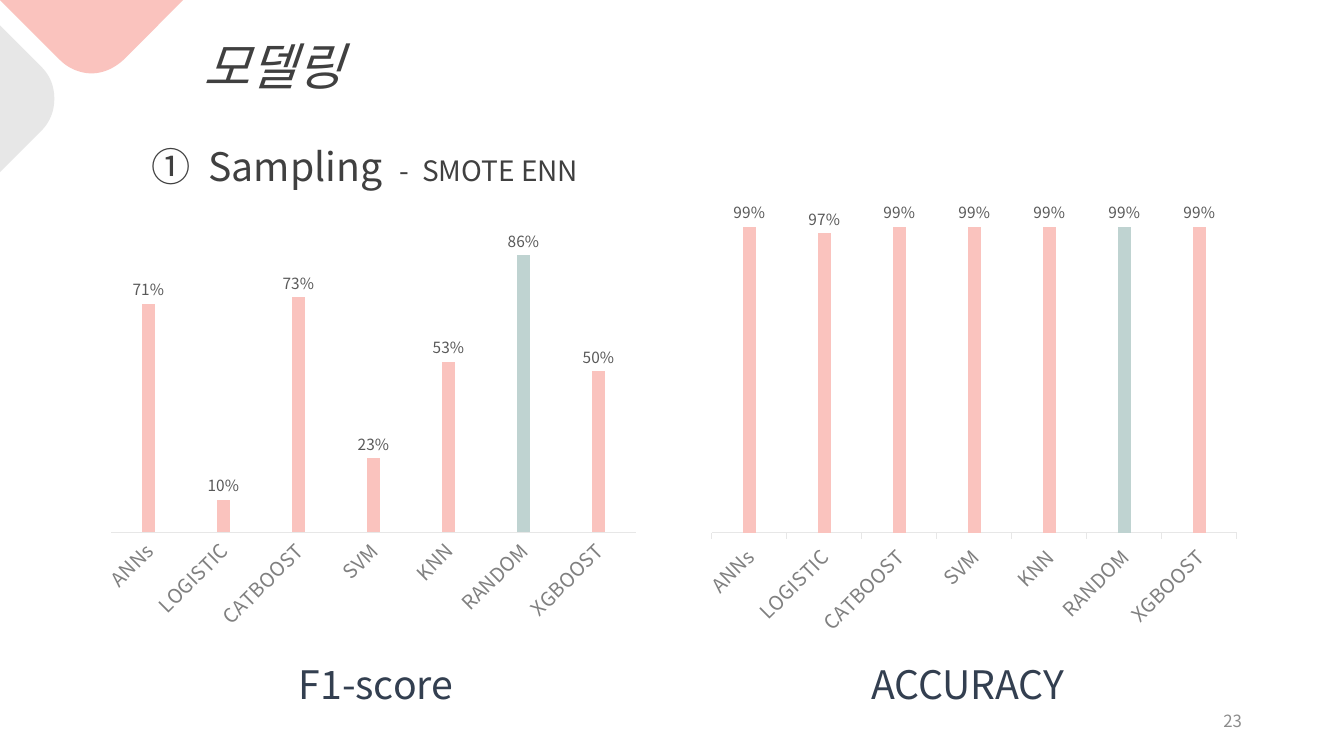
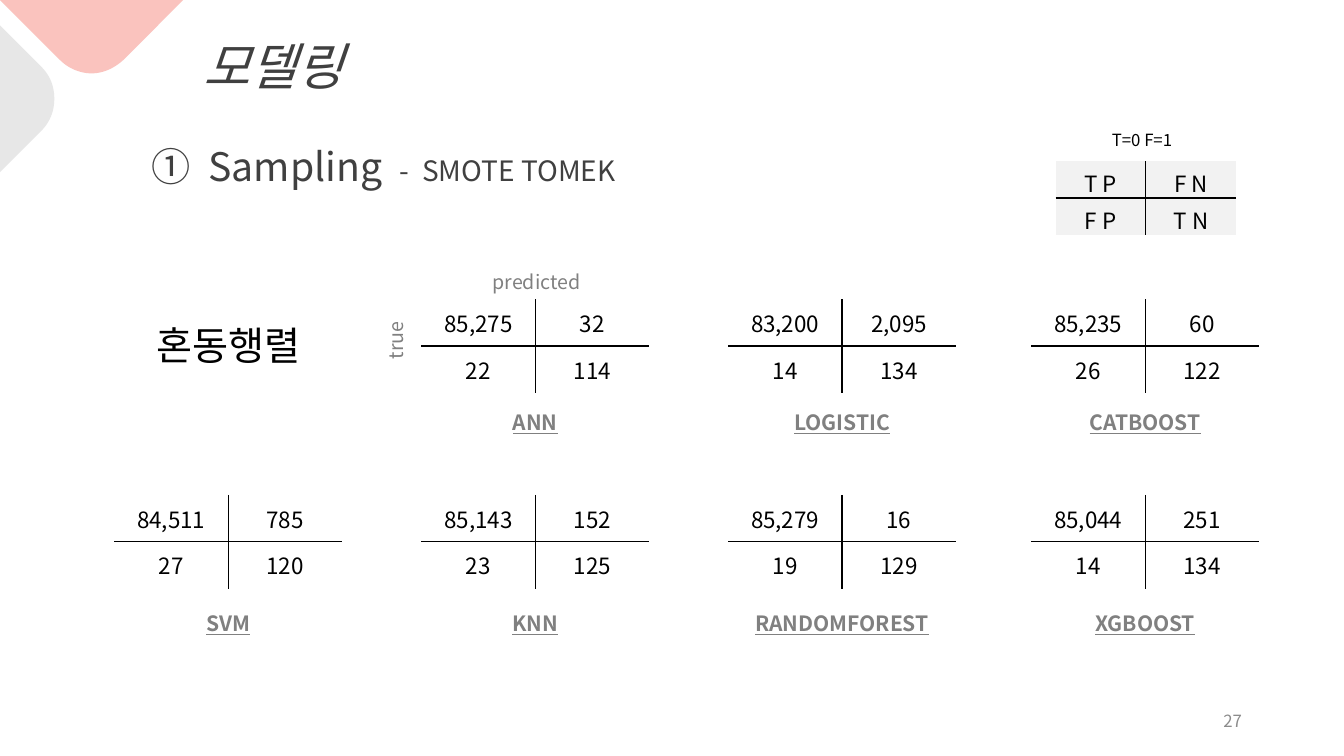
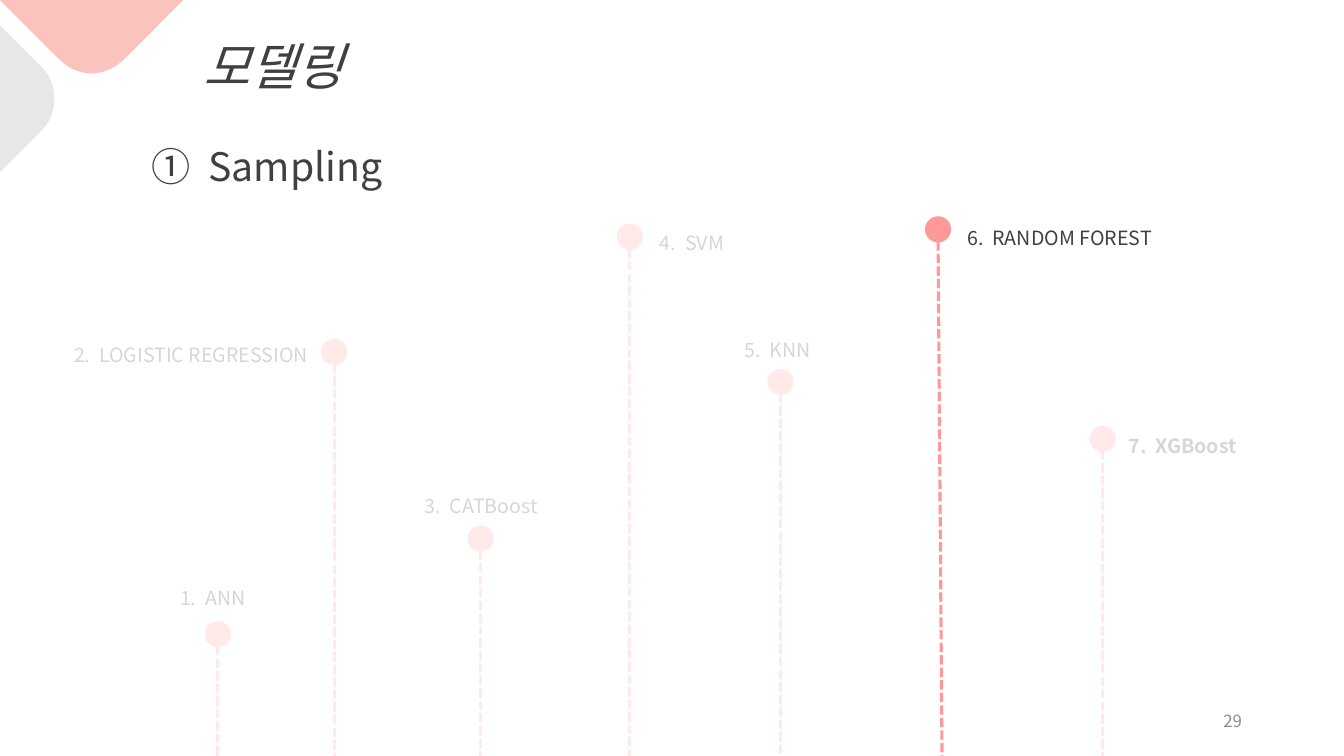
from dataclasses import dataclass

from lxml import etree
from pptx import Presentation
from pptx import util as u
from pptx.chart.data import CategoryChartData
from pptx.dml.color import RGBColor
from pptx.enum import chart as ch, dml, shapes, text
from pptx.oxml.ns import qn

Cm, Pt = u.Cm, u.Pt
ALIGN, ANCHOR = text.PP_ALIGN, text.MSO_ANCHOR
WIDTH, HEIGHT = 33.87, 19.05


@dataclass(frozen=True)
class Theme:
    font: str = "Noto Sans CJK KR"
    pink: str = "FAC3BE"
    coral: str = "FF9999"
    sage: str = "BFD3D1"
    mist: str = "E7E7E7"
    pale: str = "F2F2F2"
    white: str = "FFFFFF"
    black: str = "000000"
    dark: str = "404040"
    navy: str = "333F50"
    label: str = "595959"
    grey: str = "808080"
    footer: str = "8C8C8C"
    title_size: float = 36
    head_size: float = 28
    sub_size: float = 20
    cell_size: float = 16
    caption_size: float = 15
    body_size: float = 14
    small_size: float = 12
    value_size: float = 11


T = Theme()

# Corner outlines in cm: pairs are line ends, sextuples are Bézier curves.
PINK_CORNER = [(0, 0), (1.52, 1.52), (1.73, 1.73, 2.03, 1.85, 2.31, 1.85),
               (2.59, 1.85, 2.87, 1.73, 3.1, 1.52), (4.62, 0)]
GREY_CORNER = [(0, 0.64), (1.04, 1.68), (1.27, 1.91, 1.37, 2.18, 1.37, 2.49),
               (1.37, 2.79, 1.27, 3.07, 1.04, 3.3), (0, 4.34)]


def rgb(color):
    return RGBColor.from_string(color)


def flatten(path, steps=12):
    """Turn lines and cubic curves into a list of points."""
    pts = [path[0]]
    for seg in path[1:]:
        if len(seg) == 2:
            pts.append(seg)
            continue
        ctrl = [pts[-1], seg[:2], seg[2:4], seg[4:]]
        for i in range(1, steps + 1):
            t = i / steps
            weights = ((1 - t) ** 3, 3 * t * (1 - t) ** 2, 3 * t * t * (1 - t), t ** 3)
            pts.append(tuple(sum(w * c[k] for w, c in zip(weights, ctrl)) for k in (0, 1)))
    return pts


def style_font(font, size, color, bold=False, italic=False, underline=False):
    font.name, font.size = T.font, Pt(size)
    font.color.rgb = rgb(color)
    font.bold, font.italic, font.underline = bold, italic, underline


def write(tf, words, size=T.body_size, color=T.dark, align=ALIGN.LEFT, spacing=None,
          wide=False, **look):
    """Append a formatted run to the first paragraph; wide doubles the width of a space."""
    p = tf.paragraphs[0]
    p.alignment = align
    if spacing:
        p.line_spacing = spacing
    r = p.add_run()
    r.text = words
    style_font(r.font, size, color, **look)
    r_pr = r._r.get_or_add_rPr()
    r_pr.find(qn("a:latin")).addnext(etree.Element(qn("a:ea"), typeface=T.font))
    if wide:
        r_pr.set("spc", str(round(size * 22.4)))


def write_gapped(tf, parts, **fmt):
    """Write the parts with a wide space between neighbours."""
    for i, part in enumerate(parts):
        if i:
            write(tf, " ", wide=True, **fmt)
        write(tf, part, **fmt)


def set_borders(cell, sides):
    """Draw thin black borders on the named sides (L, R, T, B) and clear the rest."""
    tc_pr = cell._tc.get_or_add_tcPr()
    for i, side in enumerate("LRTB"):
        ln = etree.Element(qn("a:ln" + side), w=str(Pt(1)))
        if side in sides:
            fill = etree.SubElement(ln, qn("a:solidFill"))
            etree.SubElement(fill, qn("a:srgbClr"), val=T.black)
        else:
            etree.SubElement(ln, qn("a:noFill"))
        tc_pr.insert(i, ln)


def set_plot_area(chart, frame):
    """Fix the inner plot area in percent of the chart: x, y, w, h."""
    plot_area = chart.element.xpath("c:chart/c:plotArea")[0]
    for old in plot_area.findall(qn("c:layout")):
        plot_area.remove(old)
    layout = etree.Element(qn("c:layout"))
    manual = etree.SubElement(layout, qn("c:manualLayout"))
    settings = [("layoutTarget", "inner"), ("xMode", "edge"), ("yMode", "edge")]
    settings += [(tag, val / 100) for tag, val in zip("xywh", frame)]
    for tag, val in settings:
        etree.SubElement(manual, qn("c:" + tag), val=str(val))
    plot_area.insert(0, layout)


class Deck:
    def __init__(self):
        self.prs = Presentation()
        self.prs.slide_width, self.prs.slide_height = Cm(WIDTH), Cm(HEIGHT)
        self.slide = None

    def start(self, number, method=None):
        """Begin a slide with its corners, title and heading."""
        self.slide = self.prs.slides.add_slide(self.prs.slide_layouts[6])
        self.number = number
        self.outline(PINK_CORNER, T.pink)
        self.outline(GREY_CORNER, T.mist)
        self.text("모델링", 4.88, 0, 19.71, 2.34, size=T.title_size, italic=True, spacing=1.5)
        head = self.box(3.58, 2.87, 16.31, 1.88)
        write_gapped(head, ["①", "Sampling"], size=T.head_size, spacing=1.5)
        if method:
            write(head, " ", size=T.head_size, spacing=1.5, wide=True)
            write_gapped(head, ["-", method], size=T.sub_size, spacing=1.5)

    def finish(self):
        """Add the page number above everything else."""
        self.text(str(self.number), 23.93, 17.65, 7.62, 1.02, anchor=ANCHOR.MIDDLE,
                  size=T.small_size, color=T.footer, align=ALIGN.RIGHT)

    def outline(self, path, color):
        pts = [(Cm(x), Cm(y)) for x, y in flatten(path)]
        fb = self.slide.shapes.build_freeform(*pts[0])
        fb.add_line_segments(pts[1:], close=True)
        self.paint(fb.convert_to_shape(), color)

    def paint(self, sp, color, line=None):
        sp.shadow.inherit = False
        if color:
            sp.fill.solid()
            sp.fill.fore_color.rgb = rgb(color)
        else:
            sp.fill.background()
        if line:
            sp.line.color.rgb, sp.line.width = rgb(color), Pt(line)
        else:
            sp.line.fill.background()

    def box(self, x, y, w, h, anchor=ANCHOR.TOP, rotation=0):
        sp = self.slide.shapes.add_textbox(Cm(x), Cm(y), Cm(w), Cm(h))
        sp.rotation = rotation
        tf = sp.text_frame
        tf.word_wrap, tf.vertical_anchor = True, anchor
        return tf

    def text(self, words, x, y, w, h, anchor=ANCHOR.TOP, rotation=0, **fmt):
        write(self.box(x, y, w, h, anchor, rotation), words, **fmt)

    def shape(self, kind, x, y, w, h, color=None, line=None):
        sp = self.slide.shapes.add_shape(kind, Cm(x), Cm(y), Cm(w), Cm(h))
        self.paint(sp, color, line)
        return sp

    def chart_name(self, words, x):
        sp = self.shape(shapes.MSO_SHAPE.ROUNDED_RECTANGLE, x, 16.28, 9.19, 1.91)
        sp.adjustments[0] = 0
        sp.text_frame.vertical_anchor = ANCHOR.MIDDLE
        write(sp.text_frame, words, size=T.head_size, color=T.navy, align=ALIGN.CENTER)

    def veil(self, y, opacity):
        """Fade everything drawn so far below y."""
        sp = self.shape(shapes.MSO_SHAPE.RECTANGLE, 0, y, WIDTH, HEIGHT - y, T.white)
        clr = sp.element.spPr.find(qn("a:solidFill"))[0]
        etree.SubElement(clr, qn("a:alpha"), val=str(opacity * 1000))

    def pin(self, number, name, x, y, label_x, label_y, label_w=6.58, align=ALIGN.LEFT,
            lean=0, bold=False):
        """Draw a labelled dot on a dashed stem that reaches the slide's foot."""
        ln = self.slide.shapes.add_connector(
            shapes.MSO_CONNECTOR.STRAIGHT, Cm(x), Cm(y + 0.3), Cm(x + lean), Cm(HEIGHT))
        ln.line.color.rgb, ln.line.width = rgb(T.coral), Pt(2.25)
        ln.line.dash_style = dml.MSO_LINE.SQUARE_DOT
        etree.SubElement(ln.element.spPr, qn("a:effectLst"))
        size = 0.33
        self.shape(shapes.MSO_SHAPE.OVAL, x - size / 2, y - size / 2, size, size, T.coral, 9.5)
        write_gapped(self.box(label_x, label_y, label_w, 1.07), [f"{number}.", name],
                     align=align, spacing=1.5, bold=bold)

    def matrix(self, rows, x, y, w, h, fill=None, pad=0.13):
        """Draw a two-by-two table with only its inner cross ruled."""
        tb = self.slide.shapes.add_table(2, 2, Cm(x), Cm(y), Cm(w), Cm(h)).table
        tb.first_row = tb.horz_banding = False
        for i, row in enumerate(rows):
            tb.rows[i].height = Cm(h / 2)
            tb.columns[i].width = Cm(w / 2)
            for j, value in enumerate(row):
                cell = tb.cell(i, j)
                cell.vertical_anchor = ANCHOR.MIDDLE
                cell.margin_top, cell.margin_bottom = Cm(0.13), Cm(pad)
                if fill:
                    cell.fill.solid()
                    cell.fill.fore_color.rgb = rgb(fill)
                else:
                    cell.fill.background()
                set_borders(cell, "RL"[j] + "BT"[i])
                write(cell.text_frame, value, size=T.cell_size, color=T.black,
                      align=ALIGN.CENTER)

    def columns(self, cats, vals, x, y, w, h, tick, frame=None):
        data = CategoryChartData(number_format="0%")
        data.categories = cats
        data.add_series("Series 1", vals)
        chart = self.slide.shapes.add_chart(
            ch.XL_CHART_TYPE.COLUMN_CLUSTERED, Cm(x), Cm(y), Cm(w), Cm(h), data).chart
        chart.has_legend = chart.has_title = False
        style_font(chart.font, T.value_size, T.label)

        val_ax, cat_ax = chart.value_axis, chart.category_axis
        val_ax.minimum_scale, val_ax.maximum_scale = 0, 1
        val_ax.has_major_gridlines = val_ax.visible = False
        cat_ax.major_tick_mark = tick
        cat_ax.format.line.color.rgb, cat_ax.format.line.width = rgb(T.mist), Pt(0.75)
        style_font(cat_ax.tick_labels.font, T.body_size, T.grey)
        body = chart.element.xpath(".//c:catAx/c:txPr/a:bodyPr")[0]
        body.set("rot", "-2700000")
        body.set("vert", "horz")

        plot = chart.plots[0]
        plot.gap_width, plot.vary_by_categories = 500, False
        plot.has_data_labels = True
        labels = plot.data_labels
        labels.show_value = True
        labels.number_format, labels.number_format_is_linked = "0%", False
        labels.position = ch.XL_LABEL_POSITION.OUTSIDE_END
        style_font(labels.font, T.value_size, T.label)
        series = plot.series[0]
        for fmt, color in ((series.format, T.pink),
                           (series.points[cats.index("RANDOM")].format, T.sage)):
            fmt.fill.solid()
            fmt.fill.fore_color.rgb = rgb(color)
        if frame:
            set_plot_area(chart, frame)


def scores_slide(deck):
    deck.start(23, "SMOTE ENN")
    models = ["ANNs", "LOGISTIC", "CATBOOST", "SVM", "KNN", "RANDOM", "XGBOOST"]
    deck.columns(models, [0.71, 0.1, 0.73, 0.23, 0.53, 0.86, 0.5], 2.31, 5.08, 14, 11,
                 ch.XL_TICK_MARK.NONE)
    deck.columns(models, [0.99, 0.97, 0.99, 0.99, 0.99, 0.99, 0.99], 17.55, 4.52, 14, 11.73,
                 ch.XL_TICK_MARK.OUTSIDE, frame=(2.8, 9.6, 94.5, 66.3))
    deck.chart_name("F1-score", 4.88)
    deck.chart_name("ACCURACY", 19.79)
    deck.finish()


def confusion_slide(deck):
    deck.start(27, "SMOTE TOMEK")
    lefts = [2.88, 10.62, 18.35, 25.99]
    width, height = 5.74, 2.36
    bands = [
        (7.54, 10.19, lefts[1:], [
            ("ANN", [("85,275", "32"), ("22", "114")]),
            ("LOGISTIC", [("83,200", "2,095"), ("14", "134")]),
            ("CATBOOST", [("85,235", "60"), ("26", "122")])]),
        (12.47, 15.26, lefts, [
            ("SVM", [("84,511", "785"), ("27", "120")]),
            ("KNN", [("85,143", "152"), ("23", "125")]),
            ("RANDOMFOREST", [("85,279", "16"), ("19", "129")]),
            ("XGBOOST", [("85,044", "251"), ("14", "134")])]),
    ]
    for top, caption_top, xs, models in bands:
        for x, (name, rows) in zip(xs, models):
            deck.matrix(rows, x, top, width, height)
            deck.text(name, x + 0.23, caption_top, width - 0.46, 0.89, size=T.caption_size,
                      color=T.grey, align=ALIGN.CENTER, bold=True, underline=True)
    deck.text("true", 8.7, 7.33, 2.82, 1.12, rotation=270, color=T.grey)
    deck.text("predicted", 10.46, 6.38, 4.42, 1.07, color=T.grey, align=ALIGN.RIGHT, spacing=1.5)
    deck.matrix([("T P", "F N"), ("F P", "T N")], 26.6, 4.06, 4.55, 1.86, fill=T.pale, pad=0)
    deck.text("T=0 F=1", 27.77, 3.15, 2.3, 0.76, size=T.small_size, color=T.black)
    deck.text("혼동행렬", 0.98, 7.98, 9.55, 1.45, size=T.head_size, color=T.black,
              align=ALIGN.CENTER)
    deck.finish()


def choice_slide(deck):
    deck.start(29)
    deck.pin(1, "ANN", 5.49, 15.98, 4.29, 14.35)
    deck.pin(2, "LOGISTIC REGRESSION", 8.42, 8.87, 1.44, 8.23, align=ALIGN.RIGHT)
    deck.pin(3, "CATBoost", 12.11, 13.57, 8.84, 12.02, align=ALIGN.CENTER)
    deck.pin(4, "SVM", 15.87, 5.96, 16.38, 5.41)
    deck.pin(5, "KNN", 19.67, 9.62, 16.31, 8.1, align=ALIGN.CENTER)
    deck.pin(7, "XGBoost", 27.79, 11.06, 28.19, 10.52, label_w=5.6, bold=True)
    deck.veil(4.88, 79)
    deck.pin(6, "RANDOM FOREST", 23.64, 5.78, 24.13, 5.26, lean=0.1)
    deck.finish()


def main():
    deck = Deck()
    scores_slide(deck)
    confusion_slide(deck)
    choice_slide(deck)
    deck.prs.save("out.pptx")


if __name__ == "__main__":
    main()
